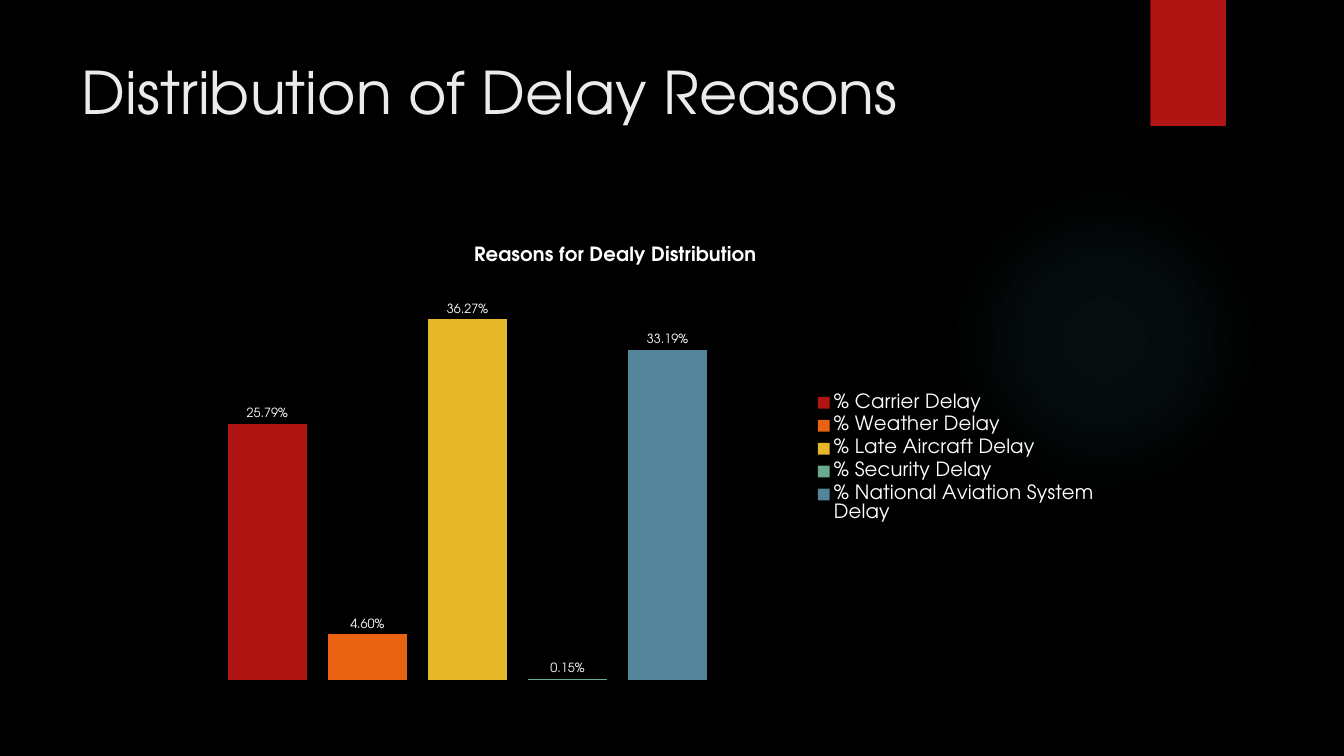
from pptx import Presentation
from pptx.chart.data import CategoryChartData
from pptx.dml.color import RGBColor
from pptx.enum.chart import XL_CHART_TYPE as ChartType, XL_LABEL_POSITION as LabelPos, XL_LEGEND_POSITION as LegendPos
from pptx.enum.shapes import MSO_SHAPE as Shape
from pptx.enum.text import MSO_ANCHOR as Anchor, PP_ALIGN as Align
from pptx.oxml import parse_xml
from pptx.oxml.ns import nsdecls
from pptx.util import Inches, Pt

COLORS = {
    "background": "000000", "title": "EBEBEB", "text": "FFFFFF", "glow": "50B9C1",
    "carrier": "B01513", "weather": "EA6312", "late": "E6B729",
    "security": "6AAC90", "system": "54849A",
}
FONT = "TeX Gyre Adventor"
PERCENT = r"0.00%;\-0.00%;0.00%"
DELAYS = [
    ("% Carrier Delay", 0.2579, "carrier"),
    ("% Weather Delay", 0.046, "weather"),
    ("% Late Aircraft Delay", 0.3627, "late"),
    ("% Security Delay", 0.0015, "security"),
    ("% National Aviation System Delay", 0.3319, "system"),
]


def rgb(name):
    """Return the named colour."""
    return RGBColor.from_string(COLORS[name])


def style_font(font, size, color="text", bold=False):
    """Apply the deck's typeface with a size, colour and weight."""
    font.name, font.size, font.bold = FONT, Pt(size), bold
    font.color.rgb = rgb(color)


def write(frame, text, size, color="text", bold=False, align=Align.LEFT):
    """Put formatted text in a text frame."""
    paragraph = frame.paragraphs[0]
    paragraph.alignment = align
    run = paragraph.add_run()
    run.text = text
    style_font(run.font, size, color, bold)


class SlideBuilder:
    """Holds the current slide and draws its elements."""

    def __init__(self, slide):
        """Set the slide and its background."""
        self.slide = slide
        slide.background.fill.solid()
        slide.background.fill.fore_color.rgb = rgb("background")

    def shape(self, kind, left, top, width, height, color):
        """Add a filled preset shape without an outline."""
        shape = self.slide.shapes.add_shape(
            kind, Inches(left), Inches(top), Inches(width), Inches(height))
        shape.shadow.inherit = False
        shape.line.fill.background()
        shape.fill.solid()
        shape.fill.fore_color.rgb = rgb(color)
        return shape

    def glow(self, left, top, size, color, stops):
        """Add a circle that fades out from its centre."""
        circle = self.shape(Shape.OVAL, left, top, size, size, color)
        stop_xml = "".join(
            f'<a:gs pos="{pos * 1000}"><a:srgbClr val="{COLORS[color]}">'
            f'<a:alpha val="{alpha * 1000}"/></a:srgbClr></a:gs>' for pos, alpha in stops)
        gradient = parse_xml(
            f'<a:gradFill {nsdecls("a")} rotWithShape="1"><a:gsLst>{stop_xml}</a:gsLst>'
            '<a:path path="circle"><a:fillToRect l="50000" t="50000" r="50000" b="50000"/>'
            '</a:path></a:gradFill>')
        properties = circle.element.spPr
        properties.replace(properties.find("{*}solidFill"), gradient)

    def title(self, text, left, top, width, height):
        """Place and format the title placeholder."""
        title = self.slide.shapes.title
        title.left, title.top = Inches(left), Inches(top)
        title.width, title.height = Inches(width), Inches(height)
        title.text_frame.vertical_anchor = Anchor.TOP
        title.text_frame.word_wrap = True
        write(title.text_frame, text, 42, "title")

    def column_chart(self, heading, delays, left, top, width, height):
        """Add a labelled column chart with one series per delay reason."""
        data = CategoryChartData(number_format="0.00%")
        data.categories = ["1"]
        for name, share, _ in delays:
            data.add_series(name, [share])
        chart = self.slide.shapes.add_chart(
            ChartType.COLUMN_CLUSTERED, Inches(left), Inches(top),
            Inches(width), Inches(height), data).chart
        style_font(chart.font, 10)
        chart.has_title = True
        write(chart.chart_title.text_frame, heading, 14, bold=True, align=Align.CENTER)
        chart.chart_title.include_in_layout = False
        chart.has_legend = True
        chart.legend.position = LegendPos.RIGHT
        chart.legend.include_in_layout = False
        style_font(chart.legend.font, 14)

        shares = chart.value_axis
        shares.minimum_scale, shares.maximum_scale = 0, 0.4
        shares.has_major_gridlines = False
        shares.tick_labels.number_format = PERCENT
        shares.tick_labels.number_format_is_linked = False
        shares.visible = chart.category_axis.visible = False

        plot = chart.plots[0]
        plot.gap_width, plot.overlap, plot.vary_by_categories = 219, -27, False
        for series, (_, _, color) in zip(plot.series, delays):
            series.format.fill.solid()
            series.format.fill.fore_color.rgb = rgb(color)
            labels = series.data_labels
            labels.show_value = True
            labels.position = LabelPos.OUTSIDE_END
            labels.number_format, labels.number_format_is_linked = PERCENT, False
            style_font(labels.font, 9)
        self.place_plot(chart, x=0.02, y=0.12, w=0.66, h=0.86)

    def place_plot(self, chart, **fractions):
        """Fix the inner plot area as fractions of the chart."""
        modes = "".join(f'<c:{side}Mode val="edge"/>' for side in "xy")
        sizes = "".join(f'<c:{key} val="{value}"/>' for key, value in fractions.items())
        plot_area = chart.element.chart.plotArea
        for layout in plot_area.findall("{*}layout"):
            plot_area.remove(layout)
        plot_area.insert(0, parse_xml(
            f'<c:layout {nsdecls("c")}><c:manualLayout><c:layoutTarget val="inner"/>'
            f'{modes}{sizes}</c:manualLayout></c:layout>'))


def main():
    """Build and save the slide."""
    deck = Presentation()
    deck.slide_width, deck.slide_height = Inches(13.33), Inches(7.5)
    builder = SlideBuilder(deck.slides.add_slide(deck.slide_layouts[5]))
    builder.glow(9.41, 1.83, 3.08, "glow", [(0, 7), (36, 6), (69, 0)])
    builder.shape(Shape.RECTANGLE, 11.41, 0, 0.75, 1.25, "carrier")
    builder.title("Distribution of Delay Reasons", 0.71, 0.5, 10.29, 1.53)
    builder.column_chart("Reasons for Dealy Distribution", DELAYS, 1.21, 2.25, 9.79, 4.59)
    deck.save("out.pptx")


if __name__ == "__main__":
    main()
